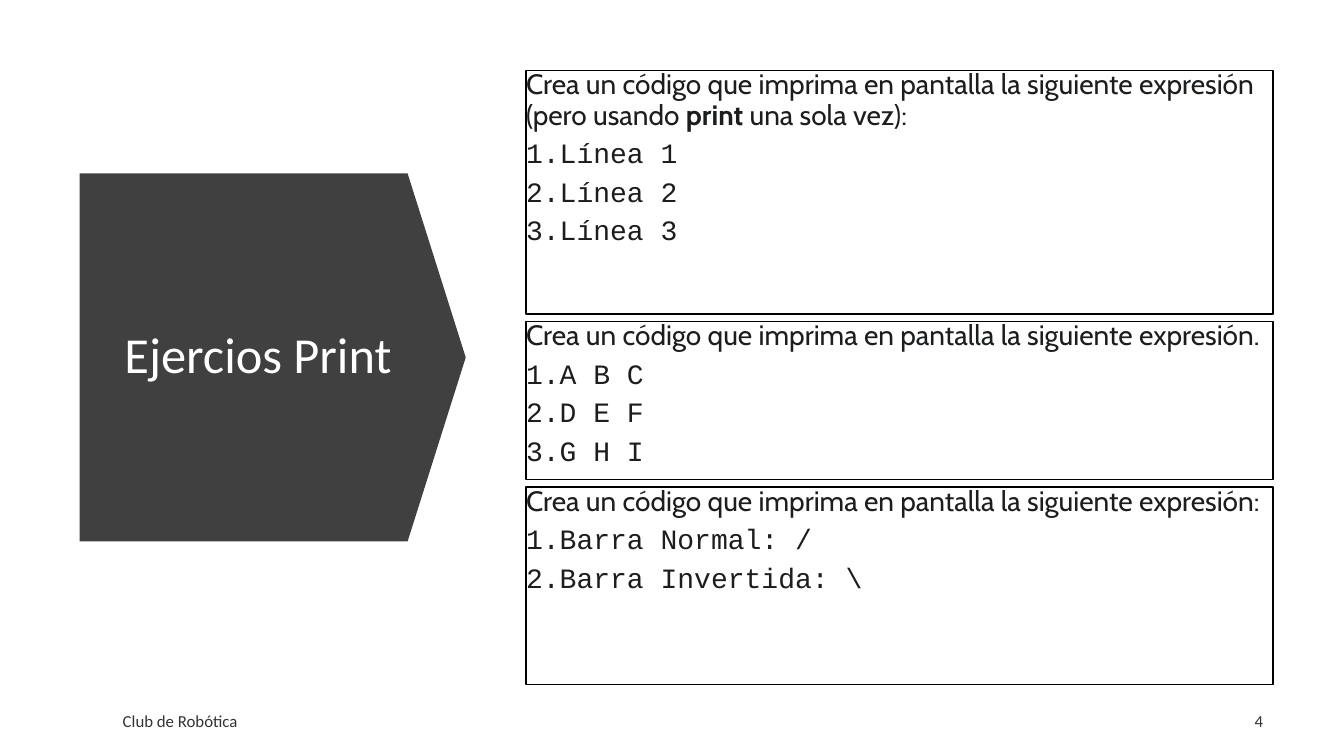
from pptx import Presentation
from pptx.dml.color import RGBColor
from pptx.enum.shapes import MSO_SHAPE as SHAPE
from pptx.enum.text import MSO_ANCHOR as ANCHOR, PP_ALIGN as ALIGN
from pptx.oxml.ns import qn
from pptx.util import Pt
from lxml import etree

WHITE = RGBColor(0xFF, 0xFF, 0xFF)
BLACK = RGBColor(0, 0, 0)
CHARCOAL = RGBColor(0x40, 0x40, 0x40)
INK = RGBColor(0x1C, 0x1D, 0x1F)
GRAY = RGBColor(0x33, 0x33, 0x33)

PROMPT = "Crea un código que imprima en pantalla la siguiente expresión"
EXERCISES = [
    (173.8, [(PROMPT + " (pero usando ", False), ("print ", True), ("una sola vez):", False)],
     ["Línea 1", "Línea 2", "Línea 3"]),
    (113, [(PROMPT + ".", False)], ["A B C", "D E F", "G H I"]),
    (141.1, [(PROMPT + ":", False)], ["Barra Normal: /", "Barra Invertida: \\"]),
]
LABELS = [
    ("Ejercios Print", (80.6, 154.8, 207.4, 200.9), ALIGN.CENTER, 0.9, 36, WHITE),
    ("Club de Robótica", (80.6, 500.4, 488.9, 28.8), ALIGN.LEFT, 1, 12, GRAY),
    ("4", (869, 500.4, 40.3, 28.8), ALIGN.RIGHT, 1, 12, GRAY),
]
ARROW = (63.4, 117.4, 262.8, 275.8)
BOX_LEFT, BOX_TOP, BOX_WIDTH, GAP = 375.8, 50.4, 533.5, 5.3

prs = Presentation()
prs.slide_width, prs.slide_height = Pt(960), Pt(540)
s = prs.slides.add_slide(prs.slide_layouts[6])


def add_block(kind, box, fill):
    sp = s.shapes.add_shape(kind, *map(Pt, box))
    sp.shadow.inherit = False
    sp.fill.solid()
    sp.fill.fore_color.rgb = fill
    return sp


def add_run(p, text, name, size, color, bold=False):
    r = p.add_run()
    r.text = text
    for key, value in {"name": name, "size": Pt(size), "bold": bold}.items():
        setattr(r.font, key, value)
    r.font.color.rgb = color


def style(target, **values):
    for key, value in values.items():
        setattr(target, key, value)


def number(p):
    pPr = p._p.get_or_add_pPr()
    pPr.set("marL", "0")
    pPr.set("indent", "0")
    etree.SubElement(pPr, qn("a:buFont")).set("typeface", "+mj-lt")
    etree.SubElement(pPr, qn("a:buAutoNum")).set("type", "arabicPeriod")


arrow = add_block(SHAPE.DOWN_ARROW, ARROW, CHARCOAL)
arrow.rotation = 270
arrow.adjustments[0], arrow.adjustments[1] = 1, 0.158
arrow.line.fill.background()

top = BOX_TOP
for height, prompt, lines in EXERCISES:
    sp = add_block(SHAPE.RECTANGLE, (BOX_LEFT, top, BOX_WIDTH, height), WHITE)
    sp.line.color.rgb = BLACK
    sp.line.width = Pt(1)
    tf = sp.text_frame
    style(tf, margin_left=0, margin_top=0, margin_right=0, margin_bottom=0,
          word_wrap=True, vertical_anchor=ANCHOR.TOP)
    para = dict(alignment=ALIGN.LEFT, line_spacing=0.9, space_after=Pt(6))
    style(tf.paragraphs[0], **para)
    for text, bold in prompt:
        add_run(tf.paragraphs[0], text, "Cabin", 20, INK, bold)
    for line in lines:
        p = tf.add_paragraph()
        style(p, **para)
        number(p)
        add_run(p, line, "Courier New", 20, INK)
    top += height + GAP

for text, box, align, spacing, size, color in LABELS:
    tf = s.shapes.add_textbox(*map(Pt, box)).text_frame
    style(tf, word_wrap=True, vertical_anchor=ANCHOR.MIDDLE)
    p = tf.paragraphs[0]
    style(p, alignment=align, line_spacing=spacing)
    add_run(p, text, "Calibri", size, color)

prs.save("out.pptx")
